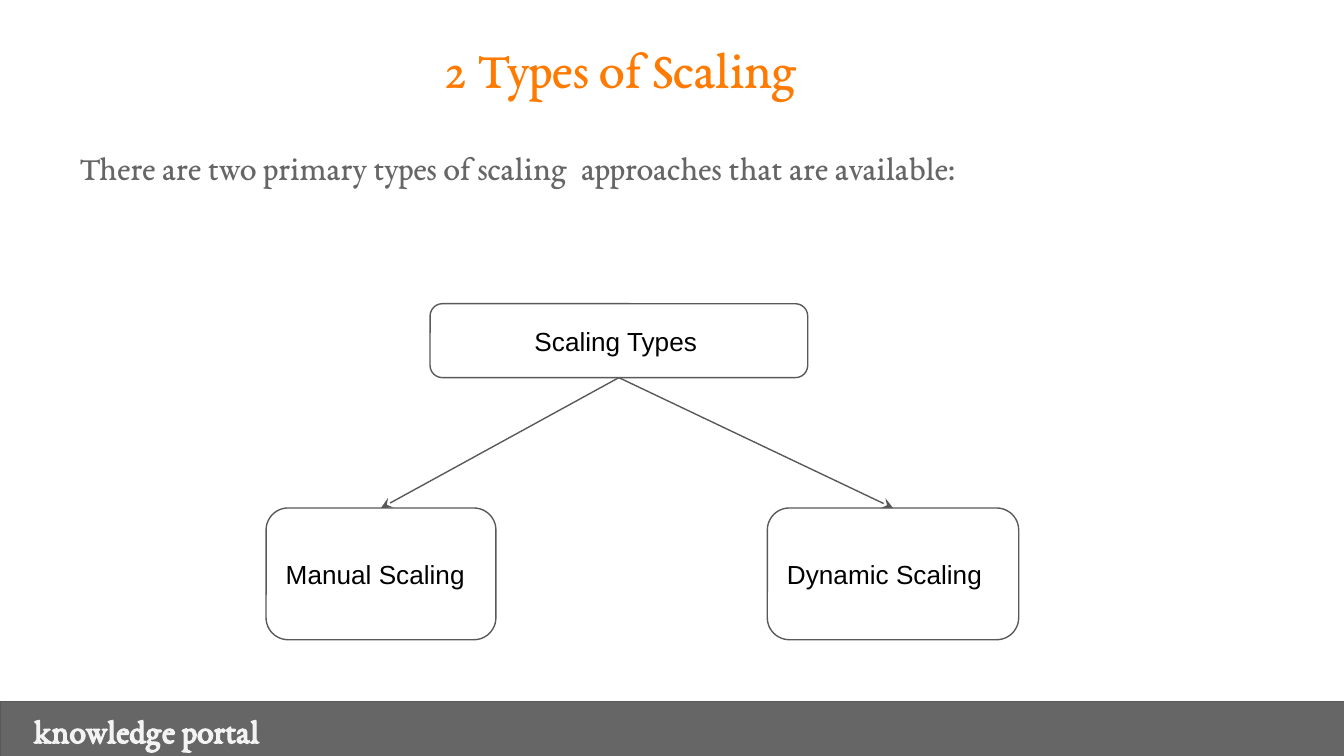
from lxml import etree
from pptx import Presentation
from pptx.dml.color import RGBColor
from pptx.enum.shapes import MSO_CONNECTOR, MSO_SHAPE
from pptx.enum.text import MSO_ANCHOR, MSO_AUTO_SIZE, PP_ALIGN
from pptx.oxml.ns import qn
from pptx.util import Inches, Pt

RECTANGLE = MSO_SHAPE.RECTANGLE
ROUNDED = MSO_SHAPE.ROUNDED_RECTANGLE
STRAIGHT = MSO_CONNECTOR.STRAIGHT
TOP, MIDDLE = MSO_ANCHOR.TOP, MSO_ANCHOR.MIDDLE
LEFT = PP_ALIGN.LEFT
NO_AUTOFIT = MSO_AUTO_SIZE.NONE

SERIF, SANS = "EB Garamond", "Arial"
ORANGE, GRAY, DARK_GRAY, PALE, BLACK = "FF7A00", "666666", "595959", "F3F3F3", "000000"
MARGIN = 0.1
TOP_SITE, BOTTOM_SITE = 0, 2

TITLE = ("2 Types of Scaling", (0.15, 0.17, 9.42, 0.42), 3.16)
INTRO = ("There are two primary types of scaling  approaches that are available:",
         (0.49, 0.99, 8.57, 1.63))
FOOTER = ("knowledge portal", (0, 5.22, 10.02, 0.42), 0.25)
ROOT = ("Scaling Types", (3.2, 2.26, 2.81, 0.55), 0.75)
TYPES = [
    ("Manual Scaling", (1.98, 3.78, 1.71, 0.98)),
    ("Dynamic Scaling", (5.71, 3.78, 1.87, 0.98)),
]


def color(value):
    """Turn a hex string into a colour."""
    return RGBColor.from_string(value)


def write(shape, text, font_name, size, text_color, anchor, left_inset=MARGIN, bold=False):
    """Put one left-aligned formatted paragraph into a shape."""
    frame = shape.text_frame
    frame.text = text
    frame.word_wrap = True
    frame.auto_size = NO_AUTOFIT
    frame.vertical_anchor = anchor
    frame.margin_left = Inches(left_inset)
    frame.margin_right = frame.margin_top = frame.margin_bottom = Inches(MARGIN)
    paragraph = frame.paragraphs[0]
    paragraph.alignment = LEFT
    paragraph.space_before = Pt(0)
    font = paragraph.runs[0].font
    font.name, font.size, font.bold = font_name, Pt(size), bold
    font.color.rgb = color(text_color)


def remove_bullet(paragraph):
    """Drop the bullet and hanging indent of a body paragraph."""
    properties = paragraph._p.get_or_add_pPr()
    properties.set("marL", "0")
    properties.set("indent", "0")
    etree.SubElement(properties, qn("a:buNone"))


def place(shape, box):
    """Move and size a placeholder."""
    shape.left, shape.top, shape.width, shape.height = map(Inches, box)


def outline(shape):
    """Give a shape or connector the thin gray line."""
    shape.line.color.rgb = color(DARK_GRAY)
    shape.line.width = Pt(0.75)


def add_box(slide, kind, box, fill=None):
    """Add an outlined box, filled when a colour is given."""
    shape = slide.shapes.add_shape(kind, *map(Inches, box))
    shape.shadow.inherit = False
    if fill:
        shape.fill.solid()
        shape.fill.fore_color.rgb = color(fill)
    else:
        shape.fill.background()
    outline(shape)
    return shape


def add_node(slide, text, box, left_inset=MARGIN):
    """Add one labelled node of the diagram."""
    node = add_box(slide, ROUNDED, box)
    write(node, text, SANS, 14, BLACK, MIDDLE, left_inset)
    return node


def add_arrow(slide, parent, child):
    """Connect the bottom of the parent to the top of the child."""
    arrow = slide.shapes.add_connector(STRAIGHT, 0, 0, 0, 0)
    arrow.begin_connect(parent, BOTTOM_SITE)
    arrow.end_connect(child, TOP_SITE)
    outline(arrow)
    properties = arrow._element.spPr
    etree.SubElement(properties.find(qn("a:ln")), qn("a:tailEnd"), type="stealth")
    etree.SubElement(properties, qn("a:effectLst"))


def main():
    """Build and save the slide."""
    presentation = Presentation()
    presentation.slide_width = Inches(10)
    presentation.slide_height = presentation.slide_width * 9 // 16
    slide = presentation.slides.add_slide(presentation.slide_layouts[1])

    text, box, inset = TITLE
    title = slide.shapes.title
    place(title, box)
    write(title, text, SERIF, 28, ORANGE, TOP, inset)

    text, box = INTRO
    body = slide.placeholders[1]
    place(body, box)
    write(body, text, SERIF, 18, GRAY, TOP)
    remove_bullet(body.text_frame.paragraphs[0])

    text, box, inset = FOOTER
    footer = add_box(slide, RECTANGLE, box, GRAY)
    write(footer, text, SERIF, 18, PALE, MIDDLE, inset, bold=True)

    root = add_node(slide, *ROOT)
    nodes = [add_node(slide, *item) for item in TYPES]
    for node in nodes:
        add_arrow(slide, root, node)

    presentation.save("out.pptx")


if __name__ == "__main__":
    main()
